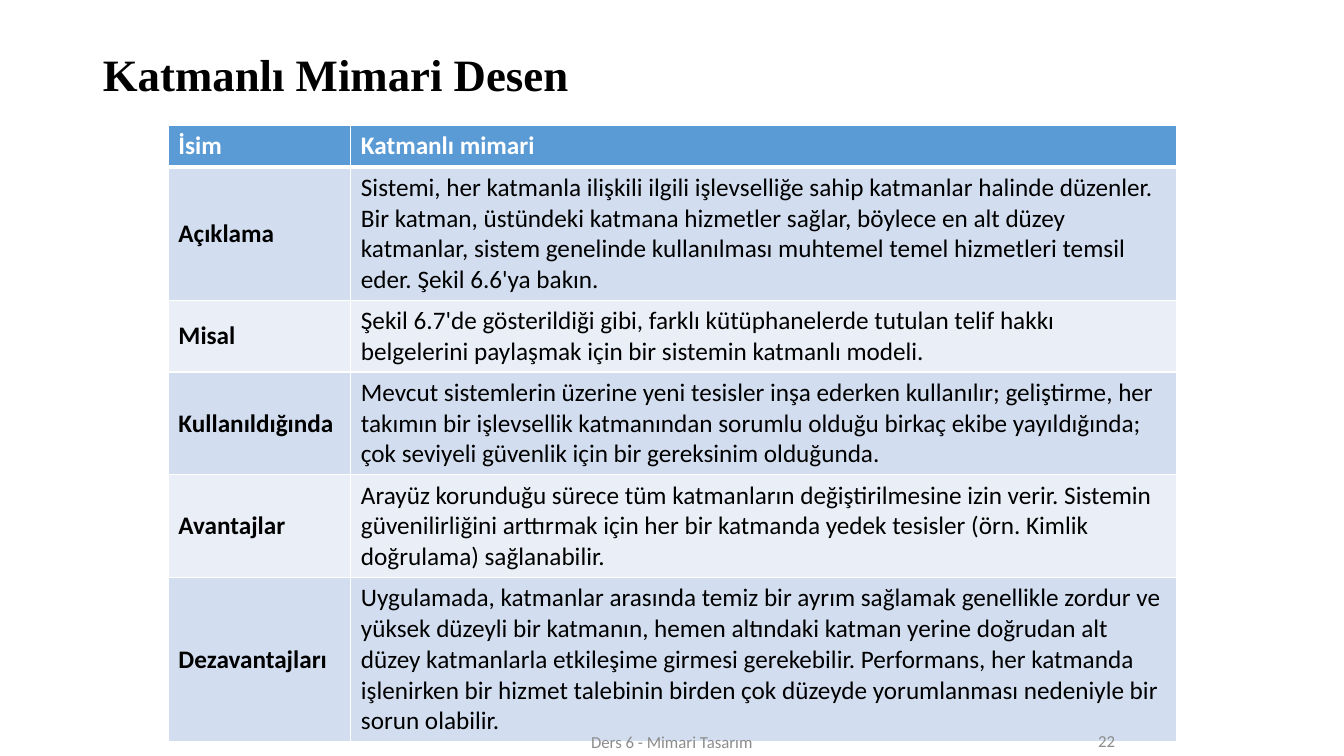
from lxml.etree import SubElement
from pptx import Presentation
from pptx.dml.color import RGBColor
from pptx.enum.text import MSO_ANCHOR as Anchor, PP_ALIGN as Align
from pptx.oxml.ns import qn
from pptx.util import Inches, Pt

WHITE, BLACK, GREY = "FFFFFF", "000000", "8C8C8C"
HEAD, BANDS = "5B9BD5", ("EAEFF7", "D2DEEF")
COLS = (1.81, 8.19)
HEIGHTS = (0.42, 1.32, 0.71, 1.02, 1.02, 1.62)
ROWS = (
    ("İsim", "Katmanlı mimari"),
    ("Açıklama",
     "Sistemi, her katmanla ilişkili ilgili işlevselliğe sahip katmanlar halinde "
     "düzenler. Bir katman, üstündeki katmana hizmetler sağlar, böylece en alt "
     "düzey katmanlar, sistem genelinde kullanılması muhtemel temel hizmetleri "
     "temsil eder. Şekil 6.6'ya bakın."),
    ("Misal",
     "Şekil 6.7'de gösterildiği gibi, farklı kütüphanelerde tutulan telif hakkı "
     "belgelerini paylaşmak için bir sistemin katmanlı modeli."),
    ("Kullanıldığında",
     "Mevcut sistemlerin üzerine yeni tesisler inşa ederken kullanılır; geliştirme, "
     "her takımın bir işlevsellik katmanından sorumlu olduğu birkaç ekibe "
     "yayıldığında; çok seviyeli güvenlik için bir gereksinim olduğunda."),
    ("Avantajlar",
     "Arayüz korunduğu sürece tüm katmanların değiştirilmesine izin verir. Sistemin "
     "güvenilirliğini arttırmak için her bir katmanda yedek tesisler (örn. Kimlik "
     "doğrulama) sağlanabilir."),
    ("Dezavantajları",
     "Uygulamada, katmanlar arasında temiz bir ayrım sağlamak genellikle zordur ve "
     "yüksek düzeyli bir katmanın, hemen altındaki katman yerine doğrudan alt düzey "
     "katmanlarla etkileşime girmesi gerekebilir. Performans, her katmanda işlenirken "
     "bir hizmet talebinin birden çok düzeyde yorumlanması nedeniyle bir sorun "
     "olabilir."),
)


def color(code):
    return RGBColor.from_string(code)


def write(frame, text, code, align=Align.LEFT, **form):
    """Put one formatted paragraph into a text frame."""
    para = frame.paragraphs[0]
    para.alignment = align
    run = para.add_run()
    run.text = text
    for key, value in form.items():
        setattr(run.font, key, value)
    run.font.color.rgb = color(code)
    return para


def place(shape, *box):
    for key, value in zip(("left", "top", "width", "height"), box):
        setattr(shape, key, Inches(value))


def add_title(slide, text):
    title = slide.shapes.title
    place(title, 0.92, 0.4, 11.5, 0.73)
    title.text_frame.vertical_anchor = Anchor.MIDDLE
    para = write(title.text_frame, text, BLACK,
                 name="Times New Roman", size=Pt(32), bold=True)
    para.line_spacing = 0.9


def add_label(slide, text, align, *box):
    label = slide.shapes.add_textbox(*map(Inches, box))
    frame = label.text_frame
    frame.word_wrap = True
    frame.vertical_anchor = Anchor.MIDDLE
    write(frame, text, GREY, align, name="Calibri", size=Pt(12))


def add_edges(cell, low):
    """Draw white cell borders; low is the width of the bottom one."""
    props = cell._tc.get_or_add_tcPr()
    for spot, (side, width) in enumerate(zip("LRTB", (1, 1, 1, low))):
        line = SubElement(props, qn(f"a:ln{side}"), w=str(Pt(width)))
        fill = SubElement(line, qn("a:solidFill"))
        SubElement(fill, qn("a:srgbClr"), val=WHITE)
        props.insert(spot, line)


def add_grid(slide):
    grid = slide.shapes.add_table(
        len(ROWS), len(COLS), Inches(1.67), Inches(1.24),
        Inches(sum(COLS)), Inches(sum(HEIGHTS))).table
    for col, width in zip(grid.columns, COLS):
        col.width = Inches(width)
    for r, (texts, height) in enumerate(zip(ROWS, HEIGHTS)):
        grid.rows[r].height = Inches(height)
        top = r == 0
        for c, text in enumerate(texts):
            cell = grid.cell(r, c)
            cell.vertical_anchor = Anchor.MIDDLE
            cell.fill.solid()
            cell.fill.fore_color.rgb = color(HEAD if top else BANDS[r % 2])
            add_edges(cell, 3 if top else 1)
            write(cell.text_frame, text, WHITE if top else BLACK,
                  name="Calibri", size=Pt(18), bold=top or c == 0)


def main():
    deck = Presentation()
    deck.slide_width, deck.slide_height = Inches(13.33), Inches(7.5)
    slide = deck.slides.add_slide(deck.slide_layouts.get_by_name("Title Only"))
    add_title(slide, "Katmanlı Mimari Desen")
    add_grid(slide)
    add_label(slide, "22", Align.RIGHT, 8.83, 7.15, 2.33, 0.4)
    add_label(slide, "Ders 6 - Mimari Tasarım", Align.CENTER, 5.08, 7.16, 3.17, 0.4)
    deck.save("out.pptx")


if __name__ == "__main__":
    main()
